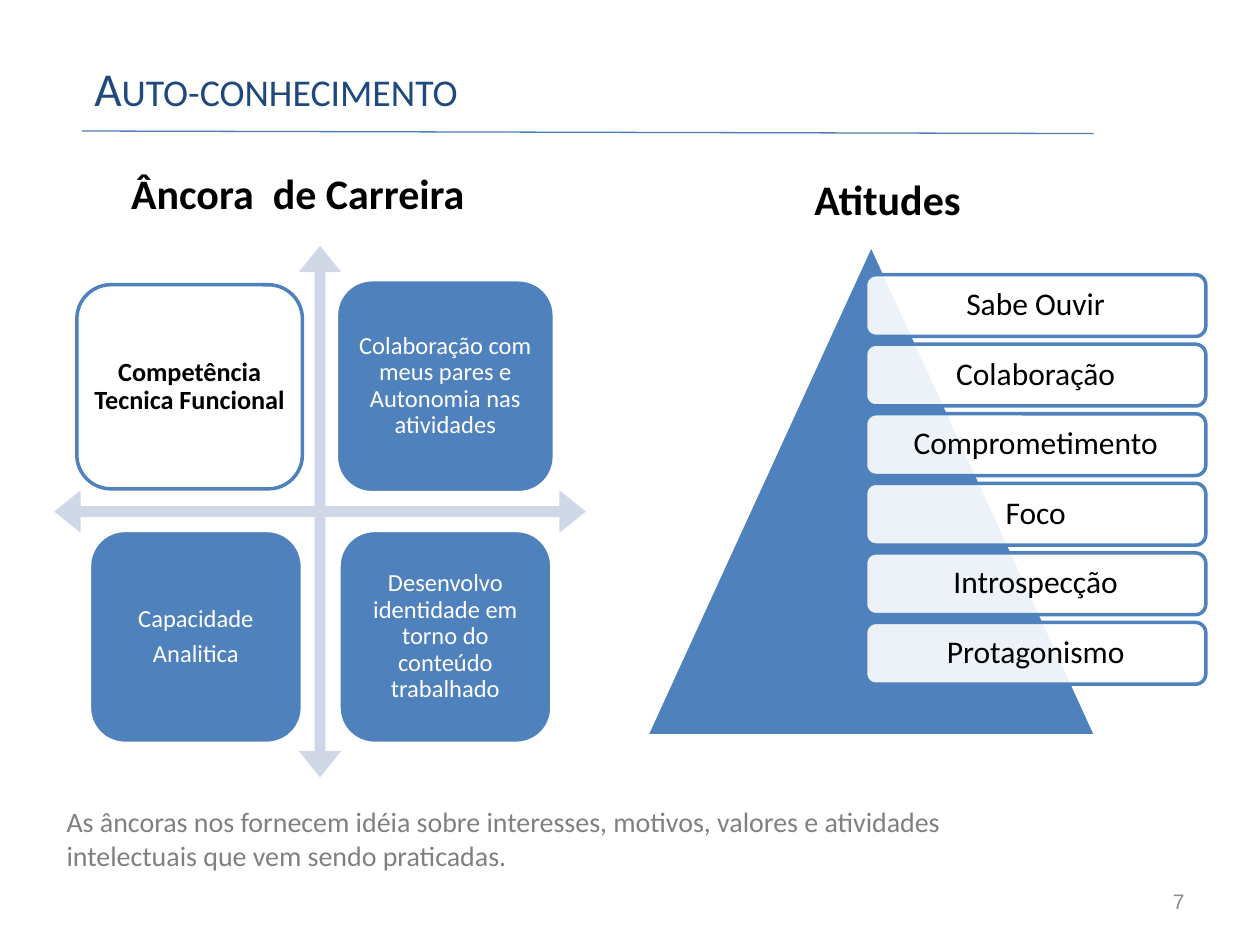
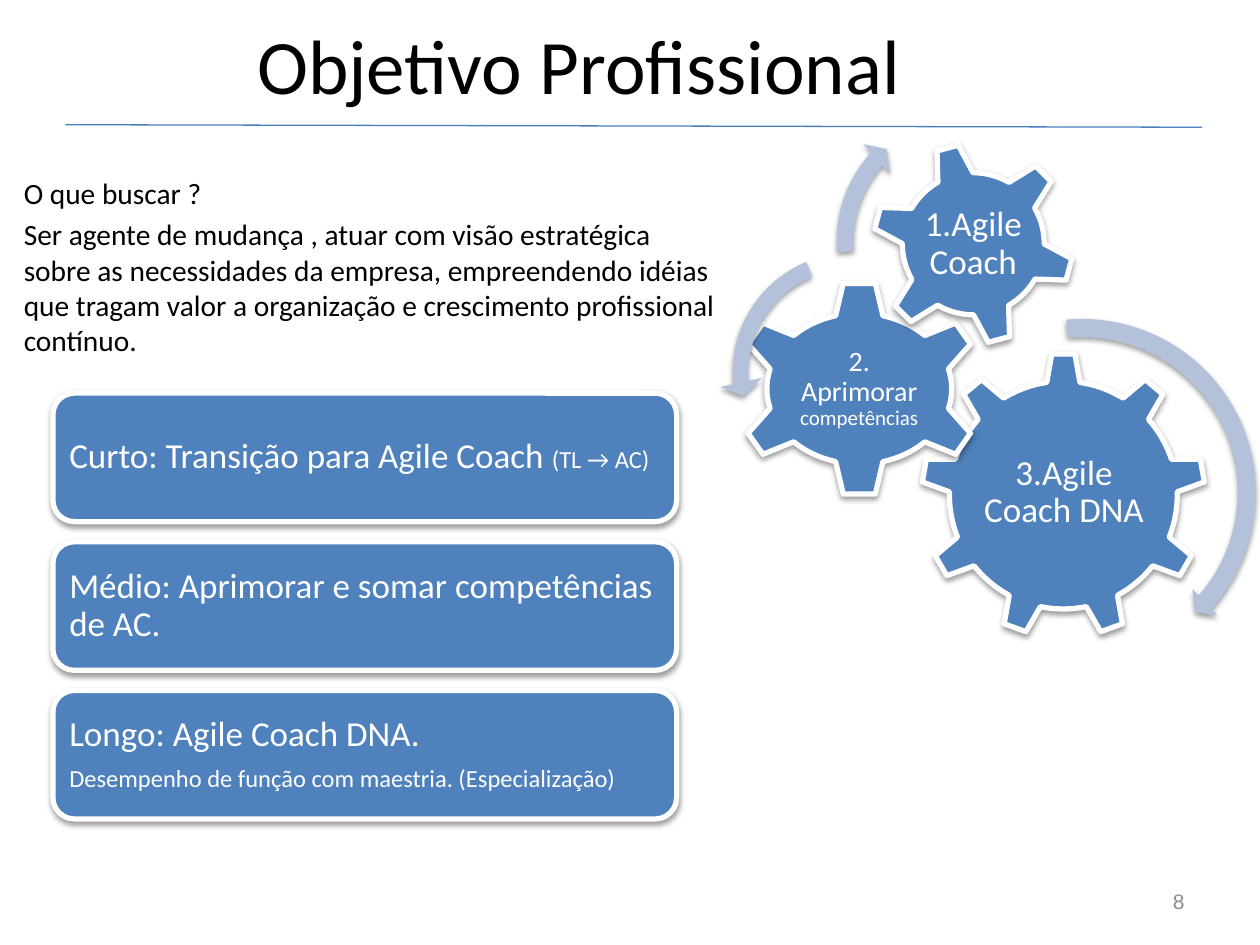
from dataclasses import dataclass

from lxml import etree
from pptx import Presentation
from pptx.dml.color import RGBColor
from pptx.enum.shapes import MSO_CONNECTOR, MSO_SHAPE
from pptx.enum.text import MSO_ANCHOR, PP_ALIGN
from pptx.oxml.ns import qn
from pptx.util import Inches, Pt

LEFT, CENTER, RIGHT = PP_ALIGN.LEFT, PP_ALIGN.CENTER, PP_ALIGN.RIGHT
TOP, MIDDLE, BOTTOM = MSO_ANCHOR.TOP, MSO_ANCHOR.MIDDLE, MSO_ANCHOR.BOTTOM
ROUNDED, TRIANGLE = MSO_SHAPE.ROUNDED_RECTANGLE, MSO_SHAPE.ISOSCELES_TRIANGLE
QUAD_ARROW = MSO_SHAPE.QUAD_ARROW
GEAR_6, GEAR_9 = MSO_SHAPE.GEAR_6, MSO_SHAPE.GEAR_9
CURVED, CURVED_LEFT = MSO_SHAPE.CIRCULAR_ARROW, MSO_SHAPE.LEFT_CIRCULAR_ARROW
STRAIGHT = MSO_CONNECTOR.STRAIGHT


@dataclass(frozen=True)
class Theme:
    font: str = "Calibri"
    number_font: str = "Arial"
    black: str = "000000"
    white: str = "FFFFFF"
    blue: str = "4F81BD"
    navy: str = "1F497D"
    rule: str = "4B7EBC"
    pale_axis: str = "D0D8E8"
    pale_arrow: str = "B3C1DB"
    gray: str = "808080"
    number_gray: str = "8C8C8C"
    title: float = 44
    small_title: float = 27
    heading: float = 24
    large: float = 20
    item: float = 18
    body: float = 16.8
    note: float = 16
    strong: float = 15
    detail: float = 14
    small: float = 12
    space: float = 10


THEME = Theme()

# Paragraph rhythm: line spacing, and gaps as a share of the type size
DIAGRAM = {"line": 0.9, "after": 0.35}
BODY = {"before": 0.2}


def apply(target, values):
    for name, value in values.items():
        setattr(target, name, value)


def write(frame, paragraphs, color, align=LEFT, anchor=MIDDLE, inset=None,
          rhythm=None, font=THEME.font, bold=False):
    """Each paragraph is a list of (text, size) runs."""
    rhythm = rhythm or {}
    apply(frame, {"word_wrap": True, "vertical_anchor": anchor})
    if inset is not None:
        sides = ("left", "top", "right", "bottom")
        apply(frame, {f"margin_{side}": Inches(inset) for side in sides})
    for index, runs in enumerate(paragraphs):
        paragraph = frame.add_paragraph() if index else frame.paragraphs[0]
        first_size = runs[0][1]
        apply(paragraph, {
            "alignment": align,
            "line_spacing": rhythm.get("line", 1.0),
            "space_before": Pt(rhythm.get("before", 0) * first_size),
            "space_after": Pt(rhythm.get("after", 0) * first_size),
        })
        for text, size in runs:
            run = paragraph.add_run()
            run.text = text
            apply(run.font, {"name": font, "size": Pt(size), "bold": bold})
            run.font.color.rgb = RGBColor.from_string(color)


def add_text(slide, box, paragraphs, color, **look):
    frame = slide.shapes.add_textbox(*map(Inches, box)).text_frame
    write(frame, paragraphs, color, **look)
    return frame


def add_soft_shadow(shape):
    effects = shape._element.spPr.find(qn("a:effectLst"))
    shadow = etree.SubElement(effects, qn("a:outerShdw"), blurRad="40000",
                              dist="20000", dir="5400000", rotWithShape="0")
    black = etree.SubElement(shadow, qn("a:srgbClr"), val=THEME.black)
    etree.SubElement(black, qn("a:alpha"), val="38000")


def add_figure(slide, kind, box, fill, line=None, width=2, adjust=(),
               rotation=0, opacity=None, raised=False):
    figure = slide.shapes.add_shape(kind, *map(Inches, box))
    figure.rotation = rotation
    figure.shadow.inherit = False
    for index, value in enumerate(adjust):
        figure.adjustments[index] = value
    figure.fill.solid()
    figure.fill.fore_color.rgb = RGBColor.from_string(fill)
    if opacity:
        tint = figure._element.spPr.find(qn("a:solidFill"))[0]
        etree.SubElement(tint, qn("a:alpha"), val=str(opacity * 1000))
    if line:
        figure.line.color.rgb = RGBColor.from_string(line)
        figure.line.width = Pt(width)
    else:
        figure.line.fill.background()
    if raised:
        add_soft_shadow(figure)
    return figure


def add_rule(slide, left, right, top):
    ends = (left, top, right, top + 0.02)
    rule = slide.shapes.add_connector(STRAIGHT, *map(Inches, ends))
    rule.line.color.rgb = RGBColor.from_string(THEME.rule)
    rule.line.width = Pt(0.75)
    etree.SubElement(rule._element.spPr, qn("a:effectLst"))


def add_page_number(slide, number):
    add_text(slide, (7.17, 6.95, 2.33, 0.4), [[(str(number), THEME.small)]],
             THEME.number_gray, align=RIGHT, font=THEME.number_font)


def add_heading(slide, box, text):
    return add_text(slide, box, [[(text, THEME.heading)]], THEME.black,
                    align=CENTER, anchor=BOTTOM, rhythm=BODY, bold=True)


def add_anchor_matrix(slide):
    add_figure(slide, QUAD_ARROW, (0.43, 1.95, 4.22, 4.22), THEME.pale_axis,
               adjust=(0.02, 0.04, 0.05))
    main_anchor = add_figure(slide, ROUNDED, (0.61, 2.26, 1.79, 1.62),
                             THEME.white, THEME.blue)
    write(main_anchor.text_frame,
          [[("Competência Tecnica Funcional", THEME.strong)]], THEME.black,
          align=CENTER, inset=0.06, rhythm=DIAGRAM, bold=True)
    other_anchors = (
        ((2.67, 2.22, 1.73, 1.69),
         ["Colaboração com meus pares e Autonomia nas atividades"]),
        ((0.71, 4.21, 1.69, 1.69), ["Capacidade", "Analitica"]),
        ((2.69, 4.21, 1.69, 1.69),
         ["Desenvolvo identidade em torno do conteúdo trabalhado"]),
    )
    for box, lines in other_anchors:
        quadrant = add_figure(slide, ROUNDED, box, THEME.blue, THEME.white)
        write(quadrant.text_frame, [[(text, THEME.detail)] for text in lines],
              THEME.white, align=CENTER, inset=0.06, rhythm=DIAGRAM)


def add_attitude_pyramid(slide):
    add_figure(slide, TRIANGLE, (5.13, 1.94, 3.57, 3.9), THEME.blue,
               THEME.white)
    attitudes = ("Sabe Ouvir", "Colaboração", "Comprometimento", "Foco",
                 "Introspecção", "Protagonismo")
    first_top, last_top = 2.18, 4.94
    pitch = (last_top - first_top) / (len(attitudes) - 1)
    for row, attitude in enumerate(attitudes):
        bar = add_figure(slide, ROUNDED,
                         (6.87, first_top + row * pitch, 2.7, 0.49),
                         THEME.white, THEME.blue, opacity=90)
        write(bar.text_frame, [[(attitude, THEME.item)]], THEME.black,
              align=CENTER, inset=0.07, rhythm=DIAGRAM)


def add_gears(slide):
    gears = (
        (GEAR_9, (7.31, 2.8, 2.26, 2.26), 0, (7.77, 3.33, 1.35, 1.16),
         [("3.Agile Coach DNA", THEME.large)]),
        (GEAR_6, (5.83, 2.23, 1.98, 1.71), 0, (6.3, 2.66, 1.04, 0.85),
         [("2. Aprimorar ", THEME.note), ("competências", THEME.small)]),
        (GEAR_6, (6.92, 1.13, 1.61, 1.61), 345, (7.27, 1.48, 0.91, 0.91),
         [("1.Agile", THEME.large), (" ", THEME.space),
          ("Coach", THEME.large)]),
    )
    for kind, box, rotation, label_box, label in gears:
        add_figure(slide, kind, box, THEME.blue, THEME.white, width=3,
                   rotation=rotation, raised=True)
        add_text(slide, label_box, [label], THEME.white, align=CENTER,
                 inset=0.03, rhythm=DIAGRAM)
    # Arrows: thickness, head angle, end angle, start angle, head width
    turns = (
        (CURVED, (7.14, 2.46, 2.9, 2.9), (0.05, 2.99, 25.05, 158.85, 0.05)),
        (CURVED_LEFT, (5.71, 1.9, 2.11, 2.11),
         (0.06, 4.3, 104.89, 148.38, 0.08)),
        (CURVED, (6.55, 0.78, 2.27, 2.27), (0.06, 3.94, 133.14, 105.08, 0.07)),
    )
    for kind, box, adjust in turns:
        add_figure(slide, kind, box, THEME.pale_arrow, adjust=adjust,
                   raised=True)


def add_goals(slide):
    goals = (
        [[("Curto: Transição para Agile Coach ", THEME.large),
          ("(TL → AC)", THEME.detail)]],
        [[("Médio: Aprimorar e somar competências de AC.", THEME.large)]],
        [[("Longo: Agile Coach DNA.", THEME.large)],
         [("Desempenho de função com maestria. (Especialização)",
           THEME.detail)]],
    )
    for row, goal in enumerate(goals):
        card = add_figure(slide, ROUNDED, (0.42, 3.12 + row * 1.18, 4.95, 1.02),
                          THEME.blue, THEME.white, width=3, raised=True)
        write(card.text_frame, goal, THEME.white, inset=0.08, rhythm=DIAGRAM)


def build_self_knowledge(slide):
    title = add_text(slide, (0.65, 0.28, 7.51, 0.69),
                     [[("Auto-conhecimento", THEME.small_title)]],
                     THEME.navy, anchor=BOTTOM)
    title.paragraphs[0].runs[0].font._element.set("cap", "small")
    add_rule(slide, 0.65, 8.68, 1.04)
    career = add_heading(slide, (0.46, 1.06, 4.04, 0.72), "Âncora  de Carreira")
    career.margin_right = Inches(0.33)
    add_anchor_matrix(slide)
    add_heading(slide, (4.78, 1.11, 4.53, 0.72), "Atitudes")
    add_attitude_pyramid(slide)
    add_text(slide, (0.43, 6.34, 7.62, 0.64),
             [[("As âncoras nos fornecem idéia sobre interesses, motivos, "
                "valores e atividades intelectuais que vem sendo praticadas.",
                THEME.note)]], THEME.gray, anchor=TOP)


def build_professional_goal(slide):
    add_text(slide, (0.42, 0.03, 8.35, 0.96),
             [[("Objetivo Profissional", THEME.title)]], THEME.black,
             align=CENTER)
    add_rule(slide, 0.52, 9.54, 0.99)
    add_text(slide, (0.09, 1.34, 5.69, 1.41),
             [[("O que buscar ?", THEME.body)],
              [("Ser agente de mudança , atuar com visão estratégica sobre as "
                "necessidades da empresa, empreendendo idéias que tragam valor "
                "a organização e crescimento profissional contínuo.",
                THEME.body)]],
             THEME.black, anchor=TOP, rhythm=BODY)
    add_gears(slide)
    add_goals(slide)


def main():
    deck = Presentation()
    apply(deck, {"slide_width": Inches(10), "slide_height": Inches(7.5)})
    blank = deck.slide_layouts[6]
    builders = (build_self_knowledge, build_professional_goal)
    for number, build in enumerate(builders, start=7):
        slide = deck.slides.add_slide(blank)
        build(slide)
        add_page_number(slide, number)
    deck.save("out.pptx")


if __name__ == "__main__":
    main()
